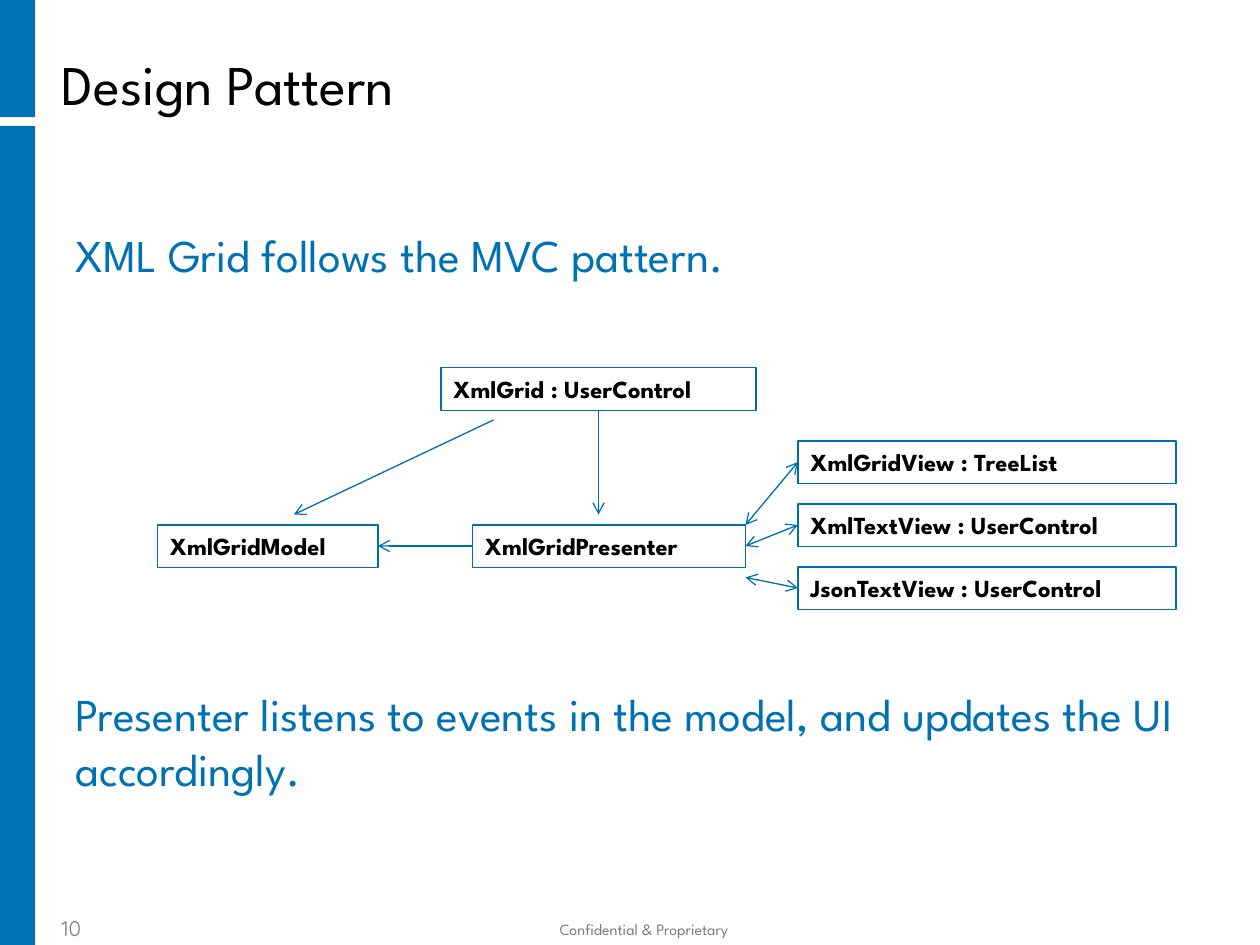
import pptx
import pptx.dml.color
import pptx.enum.shapes
import pptx.enum.text
import pptx.oxml
import pptx.oxml.ns
import pptx.util

COLOURS = {"band": "0071B4", "line": "006FB0", "title": "000000", "footer": "7B7B79"}
COLUMNS, ROWS = 120, 90  # grid cells are a twelfth of an inch
BOX_ROWS = 4.08
ANCHOR = pptx.enum.text.MSO_ANCHOR
ALIGN = pptx.enum.text.PP_ALIGN

deck = pptx.Presentation()
deck.slide_width, deck.slide_height = pptx.util.Inches(10), pptx.util.Inches(7.5)
page = deck.slides.add_slide(deck.slide_layouts[6])


def place(*cells):
    """Turn alternating column and row counts into lengths on the slide."""
    units = (deck.slide_width / COLUMNS, deck.slide_height / ROWS)
    return [round(cell * units[index % 2]) for index, cell in enumerate(cells)]


def write(box, lines, size, colour, font="League Spartan", bold=False,
          align=ALIGN.LEFT, spacing=None, after=0, **frame_format):
    """Fill a box with paragraphs in one text format."""
    frame = box.text_frame
    frame_format = {"word_wrap": True, "vertical_anchor": ANCHOR.TOP} | frame_format
    for name, value in frame_format.items():
        setattr(frame, name, value)
    for index, line in enumerate(lines):
        para = frame.paragraphs[0] if index == 0 else frame.add_paragraph()
        para.alignment, para.line_spacing = align, spacing
        para.space_after = pptx.util.Pt(after)
        span = para.add_run()
        span.text = line
        text_format = {"name": font, "size": pptx.util.Pt(size), "bold": bold}
        for name, value in text_format.items():
            setattr(span.font, name, value)
        span.font.color.rgb = pptx.dml.color.RGBColor.from_string(COLOURS[colour])


# Side band, in two parts
for top, height in ((12, 78), (0, 11.16)):
    band = page.shapes.add_shape(pptx.enum.shapes.MSO_SHAPE.RECTANGLE,
                                 *place(0, top, 3.36, height))
    band.shadow.inherit = False
    band.fill.solid()
    band.fill.fore_color.rgb = pptx.dml.color.RGBColor.from_string(COLOURS["band"])
    band.line.fill.background()

# Title, footer, page number and body
inset = pptx.util.Inches(0.05)
texts = [
    ((5.28, 4.56, 112.68, 12.12), ["Design Pattern"],
     dict(size=32, colour="title", spacing=0.95, margin_left=inset, margin_top=inset,
          margin_right=0, margin_bottom=0)),
    ((26.16, 87.12, 70.32, 2.88), ["Confidential & Proprietary"],
     dict(size=9, colour="footer", align=ALIGN.CENTER, vertical_anchor=ANCHOR.BOTTOM)),
    ((5.28, 87.12, 9.96, 2.88), ["10"],
     dict(size=12, colour="footer", font="Quicksand", vertical_anchor=ANCHOR.BOTTOM,
          margin_left=inset, margin_top=inset, margin_right=inset,
          margin_bottom=pptx.util.Inches(0.03))),
    ((6, 21, 108, 59.4),
     ["XML Grid follows the MVC pattern.",
      "Presenter listens to events in the model, and updates the UI accordingly."],
     dict(size=26, colour="band", after=231.5)),
]
for cells, lines, text_format in texts:
    write(page.shapes.add_textbox(*place(*cells)), lines, **text_format)

# Class boxes: left, top, width
classes = {
    "XmlGrid : UserControl": (42, 35, 30),
    "XmlGridModel": (15, 50, 21),
    "XmlGridPresenter": (45, 50, 26),
}
views = ["XmlGridView : TreeList", "XmlTextView : UserControl", "JsonTextView : UserControl"]
classes |= {view: (76, 42 + 6 * index, 36) for index, view in enumerate(views)}
for label, cells in classes.items():
    box = page.shapes.add_shape(pptx.enum.shapes.MSO_SHAPE.RECTANGLE,
                                *place(*cells, BOX_ROWS))
    box.shadow.inherit = False
    box.fill.background()
    box.line.color.rgb = pptx.dml.color.RGBColor.from_string(COLOURS["line"])
    box.line.width = pptx.util.Pt(0.75)
    write(box, [label], 14, "title", bold=True,
          auto_size=pptx.enum.text.MSO_AUTO_SIZE.SHAPE_TO_FIT_TEXT)

# Arrows: from, to, ends that carry a head
one_way, two_way = ("tailEnd",), ("headEnd", "tailEnd")
arrows = [
    ((47, 40, 28, 49), one_way),
    ((57, 39, 57, 49), one_way),
    ((45, 52, 36, 52), one_way),
    ((71, 50, 76, 44), two_way),
    ((71, 52, 76, 50), two_way),
    ((71, 55, 76, 56), two_way),
]
for cells, ends in arrows:
    arrow = page.shapes.add_connector(pptx.enum.shapes.MSO_CONNECTOR.STRAIGHT, *place(*cells))
    arrow.line.color.rgb = pptx.dml.color.RGBColor.from_string(COLOURS["line"])
    arrow.line.width = pptx.util.Pt(0.75)
    outline = arrow.line._get_or_add_ln()
    for end in ends:
        head = pptx.oxml.parse_xml(f'<a:{end} {pptx.oxml.ns.nsdecls("a")} type="arrow"/>')
        outline.append(head)
    effects = pptx.oxml.parse_xml(f'<a:effectLst {pptx.oxml.ns.nsdecls("a")}/>')
    arrow._element.spPr.append(effects)

deck.save("out.pptx")
